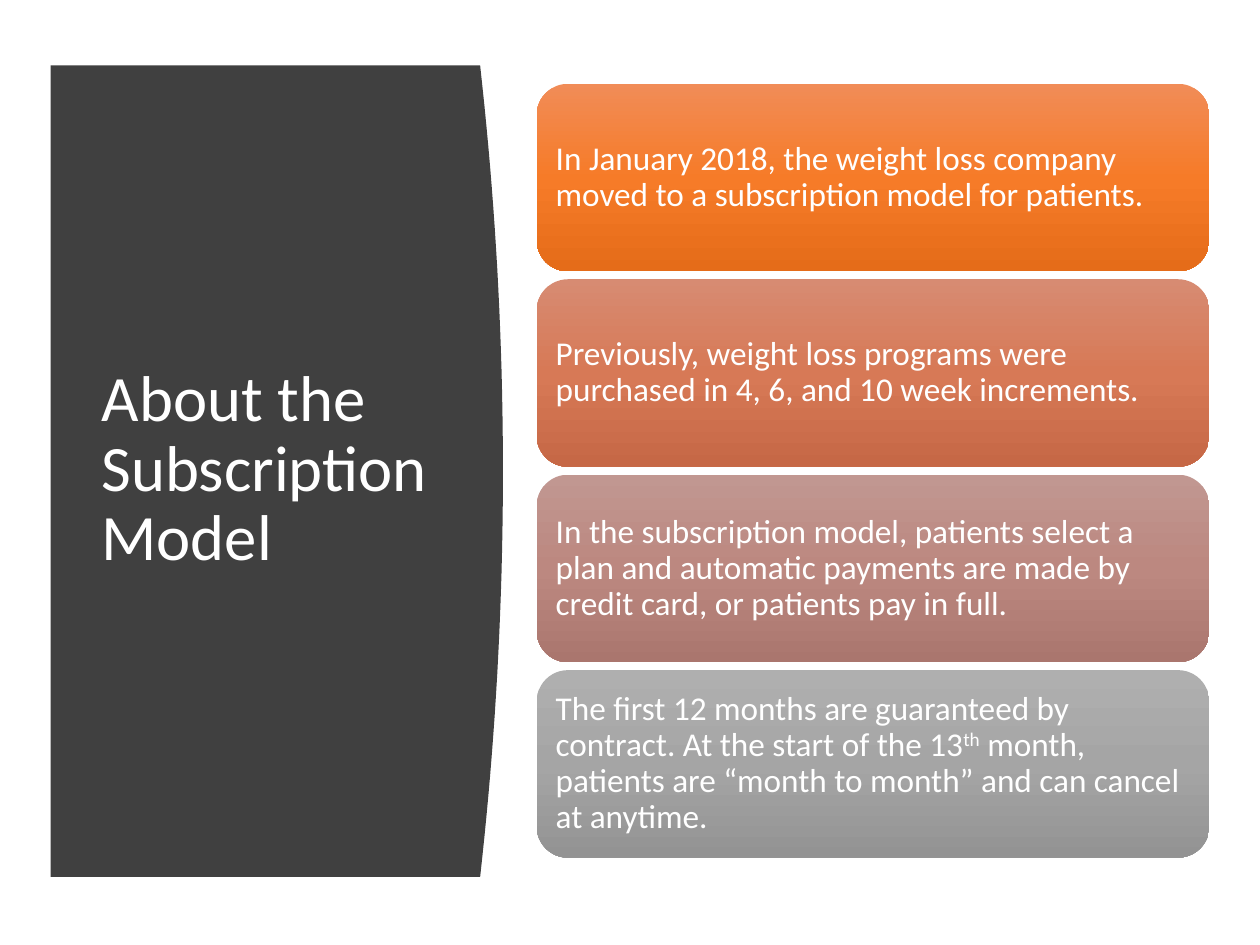
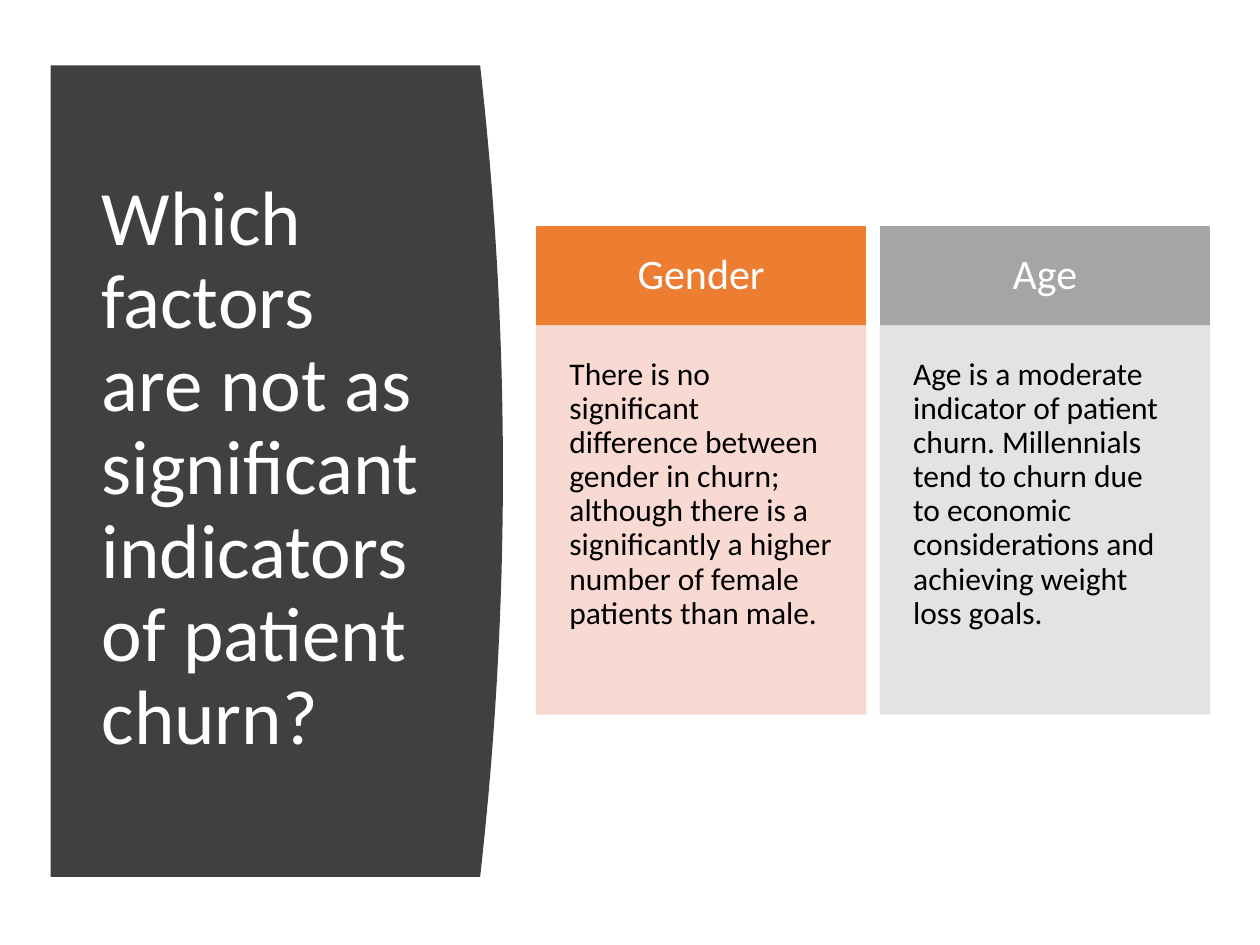
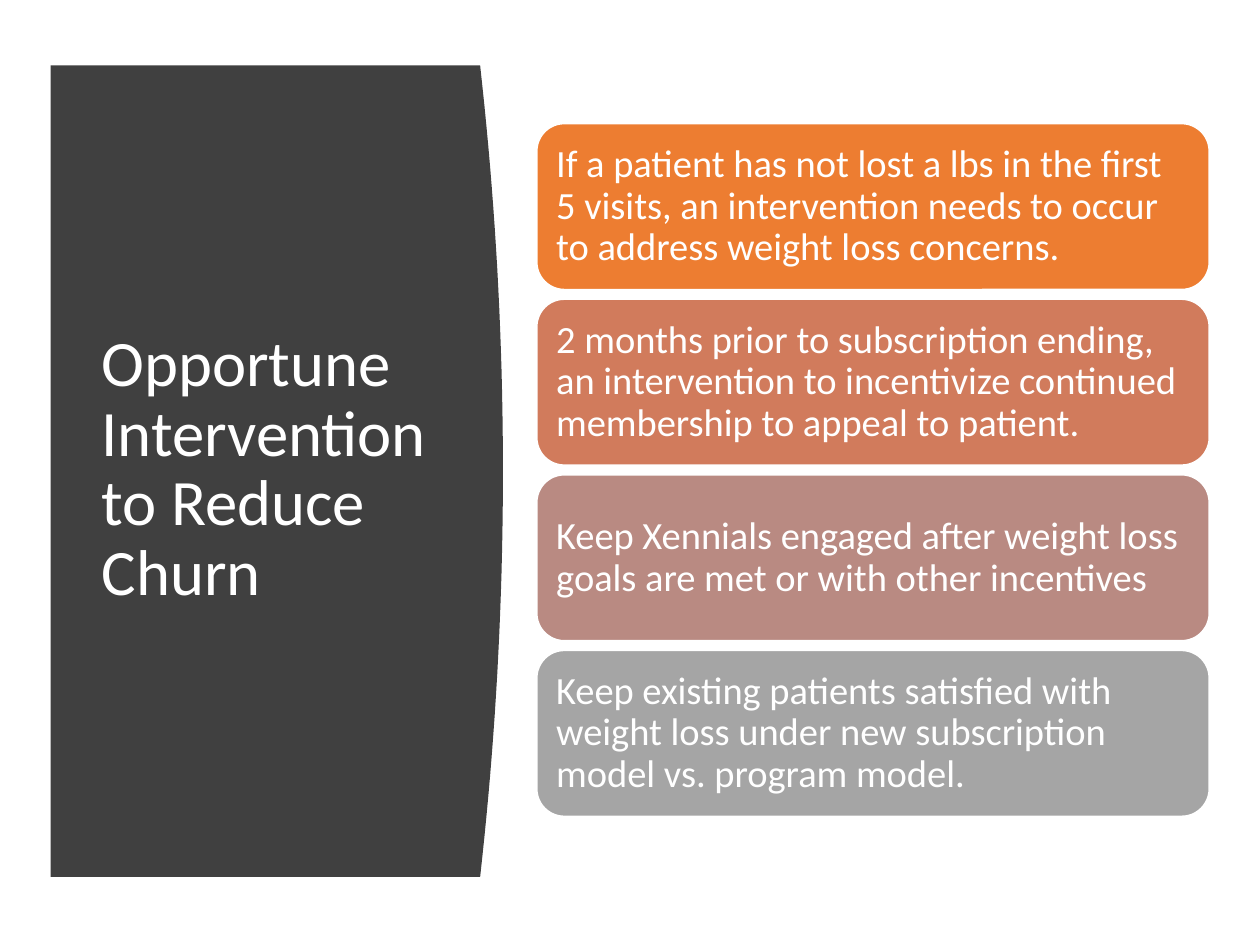
from copy import deepcopy
from dataclasses import dataclass

from lxml.etree import SubElement
from pptx import Presentation
from pptx.dml.color import RGBColor
from pptx.enum.shapes import MSO_SHAPE
from pptx.enum.text import MSO_ANCHOR, PP_ALIGN
from pptx.oxml.ns import qn
from pptx.util import Cm, Pt

FONT = "Calibri"
WHITE = "FFFFFF"
BLACK = "000000"
CHARCOAL = "404040"
ORANGE = "ED7D31"
GREY = "A5A5A5"

CONTENT_LEFT = 10.82
CARD_WIDTH = 13.56
COLUMN_WIDTH = 6.63
COLUMN_STEP = 6.93

PANEL_LEFT, PANEL_TOP, PANEL_BOTTOM = 1.02, 1.32, 17.68
PANEL_EDGE, PANEL_BULGE = 9.68, 0.46
CURVE_STEPS = 40


@dataclass(frozen=True)
class TextStyle:
    size: float
    color: str = WHITE
    inset: float = 0.25
    align: PP_ALIGN = PP_ALIGN.LEFT
    anchor: MSO_ANCHOR = MSO_ANCHOR.MIDDLE


@dataclass(frozen=True)
class Block:
    left: float
    top: float
    width: float
    height: float
    text: str
    colors: tuple[str, ...]
    style: TextStyle
    preset: MSO_SHAPE = MSO_SHAPE.RECTANGLE
    line: str | None = None
    opacity: int = 100


@dataclass(frozen=True)
class Card:
    text: str
    colors: tuple[str, ...]


@dataclass(frozen=True)
class CardStack:
    top: float
    height: float
    step: float
    style: TextStyle
    cards: tuple[Card, ...]
    line: str | None = None


@dataclass(frozen=True)
class Factor:
    name: str
    finding: str
    color: str
    tint: str


HEADER_STYLE = TextStyle(24, inset=0.53, align=PP_ALIGN.CENTER)
FINDING_STYLE = TextStyle(18, BLACK, inset=0.66, anchor=MSO_ANCHOR.TOP)

SUBSCRIPTION = CardStack(1.69, 3.78, 3.94, TextStyle(19, inset=0.2), (
    Card("In January 2018, the weight loss company moved to a subscription model for patients.",
         ("F18C57", "F67B28", "E56C19")),
    Card("Previously, weight loss programs were purchased in 4, 6, and 10 week increments.",
         ("D78B72", "D77956", "C66846")),
    Card("In the subscription model, patients select a plan and automatic payments are made by "
         "credit card, or patients pay in full.",
         ("C19791", "BC8880", "AA766E")),
    Card("The first 12 months are guaranteed by contract. At the start of the 13^th^ month, "
         "patients are “month to month” and can cancel at anytime.",
         ("AFAFAF", "A5A5A5", "939393")),
))

INTERVENTIONS = CardStack(2.49, 3.35, 3.54, TextStyle(22, inset=0.23), (
    Card("If a patient has not lost a lbs in the first 5 visits, an intervention needs to occur "
         "to address weight loss concerns.", (ORANGE,)),
    Card("2 months prior to subscription ending, an intervention to incentivize continued "
         "membership to appeal to patient.", ("D17B5C",)),
    Card("Keep Xennials engaged after weight loss goals are met or with other incentives",
         ("B98A82",)),
    Card("Keep existing patients satisfied with weight loss under new subscription model "
         "vs. program model.", (GREY,)),
), line=WHITE)

FACTORS = (
    Factor("Gender",
           "There is no significant difference between gender in churn; although there is a "
           "significantly a higher number of female patients than male.", ORANGE, "F8D7CE"),
    Factor("Age",
           "Age is a moderate indicator of patient churn. Millennials tend to churn due to "
           "economic considerations and achieving weight loss goals.", GREY, "E1E1E1"),
)


def rgb(value: str) -> RGBColor:
    return RGBColor.from_string(value)


def write_text(box, text: str, style: TextStyle) -> None:
    frame = box.text_frame
    frame.word_wrap = True
    frame.vertical_anchor = style.anchor
    frame.margin_left = frame.margin_right = Cm(style.inset)
    frame.margin_top = frame.margin_bottom = Cm(style.inset)
    para = frame.paragraphs[0]
    para.alignment = style.align
    para.line_spacing = 0.9
    para.font.name = FONT
    para.font.size = Pt(style.size)
    para.font.color.rgb = rgb(style.color)
    for index, part in enumerate(text.split("^")):
        span = para.add_run()
        span.text = part
        if index % 2:
            span.font._element.set("baseline", "30000")


def fill_shape(shape, colors: tuple[str, ...]) -> None:
    if len(colors) == 1:
        shape.fill.solid()
        shape.fill.fore_color.rgb = rgb(colors[0])
        return
    shape.fill.gradient()
    shape.fill.gradient_angle = 270
    stops = shape._element.spPr.find(qn("a:gradFill")).find(qn("a:gsLst"))
    stops.insert(1, deepcopy(stops[0]))
    for index, (stop, color) in enumerate(zip(shape.fill.gradient_stops, colors)):
        stop.position = index / (len(colors) - 1)
        stop.color.rgb = rgb(color)


def draw_block(page, block: Block) -> None:
    shape = page.shapes.add_shape(block.preset, Cm(block.left), Cm(block.top),
                                  Cm(block.width), Cm(block.height))
    shape.shadow.inherit = False
    fill_shape(shape, block.colors)
    if block.line:
        shape.line.color.rgb = rgb(block.line)
        shape.line.width = Pt(1)
    else:
        shape.line.fill.background()
    if block.opacity < 100:
        for color in shape._element.spPr.iter(qn("a:srgbClr")):
            SubElement(color, qn("a:alpha")).set("val", str(block.opacity * 1000))
    write_text(shape, block.text, block.style)


def draw_panel(page) -> None:
    middle = (PANEL_TOP + PANEL_BOTTOM) / 2
    half = (PANEL_BOTTOM - PANEL_TOP) / 2
    curve = []
    for index in range(CURVE_STEPS + 1):
        offset = 2 * index / CURVE_STEPS - 1
        curve.append((Cm(PANEL_EDGE + PANEL_BULGE * (1 - offset ** 2)),
                      Cm(middle + half * offset)))
    outline = page.shapes.build_freeform(Cm(PANEL_LEFT), Cm(PANEL_TOP))
    outline.add_line_segments(curve + [(Cm(PANEL_LEFT), Cm(PANEL_BOTTOM))], close=True)
    panel = outline.convert_to_shape()
    panel.shadow.inherit = False
    fill_shape(panel, (CHARCOAL,))
    panel.line.fill.background()


def add_page(deck, title: str, size: float):
    page = deck.slides.add_slide(deck.slide_layouts[6])
    draw_panel(page)
    box = page.shapes.add_textbox(Cm(1.8), Cm(2.82), Cm(7.11), Cm(13.31))
    write_text(box, title, TextStyle(size))
    return page


def draw_cards(page, stack: CardStack) -> None:
    for row, card in enumerate(stack.cards):
        draw_block(page, Block(CONTENT_LEFT, stack.top + row * stack.step, CARD_WIDTH,
                               stack.height, card.text, card.colors, stack.style,
                               MSO_SHAPE.ROUNDED_RECTANGLE, stack.line))


def draw_factors(page, factors: tuple[Factor, ...]) -> None:
    for column, factor in enumerate(factors):
        left = CONTENT_LEFT + column * COLUMN_STEP
        draw_block(page, Block(left, 4.57, COLUMN_WIDTH, 1.99, factor.name,
                               (factor.color,), HEADER_STYLE, line=factor.color))
        draw_block(page, Block(left, 6.57, COLUMN_WIDTH, 7.82, factor.finding,
                               (factor.tint,), FINDING_STYLE, line=factor.tint, opacity=90))


def main() -> None:
    deck = Presentation()
    deck.slide_width, deck.slide_height = Cm(25.4), Cm(19.05)
    draw_cards(add_page(deck, "About the Subscription Model", 37), SUBSCRIPTION)
    draw_factors(add_page(deck, "Which factors are not as significant indicators of "
                                "patient churn?", 44), FACTORS)
    draw_cards(add_page(deck, "Opportune Intervention to Reduce Churn", 37), INTERVENTIONS)
    deck.save("out.pptx")


if __name__ == "__main__":
    main()
